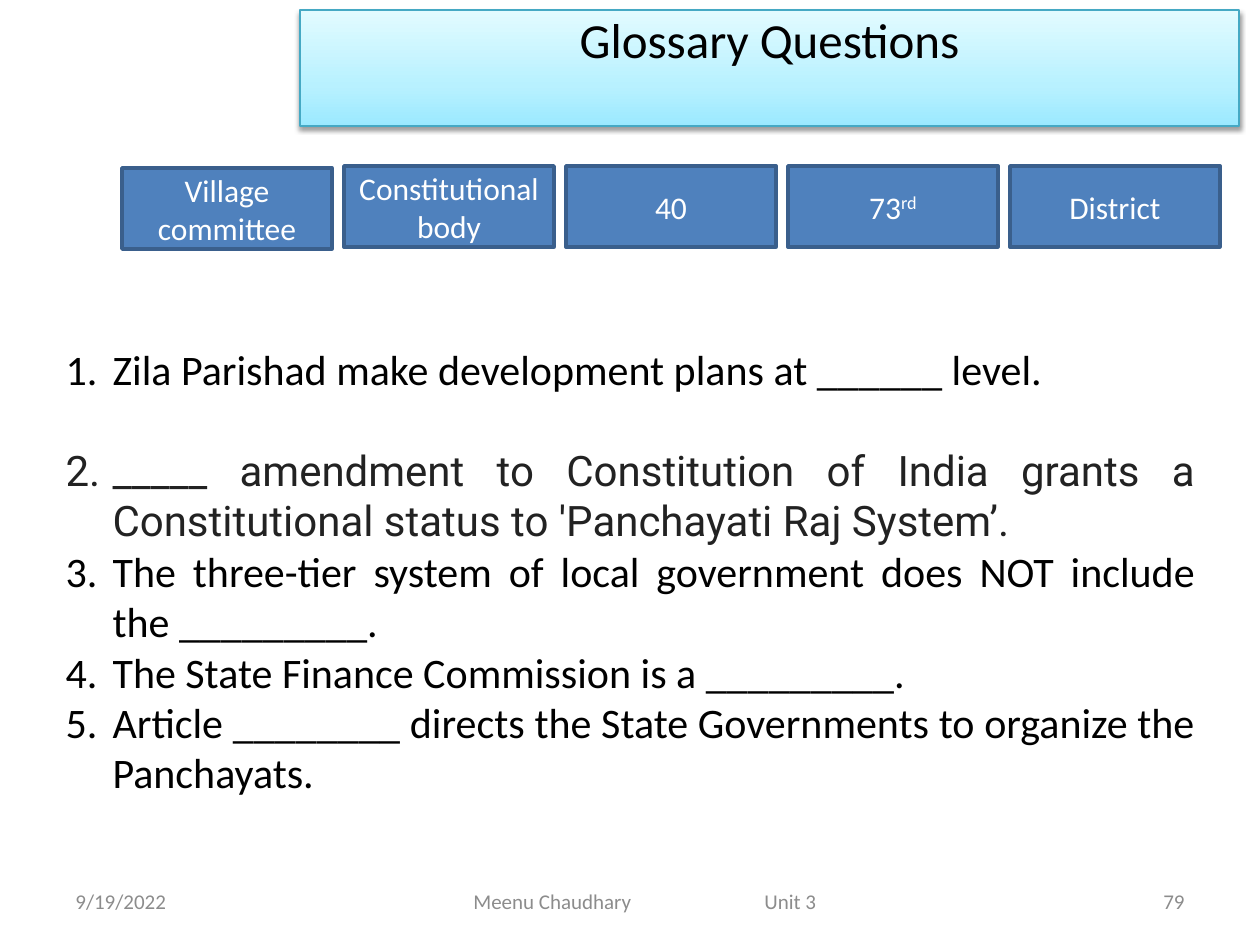
from pptx import Presentation
from pptx.dml.color import RGBColor
from pptx.enum.shapes import MSO_SHAPE
from pptx.enum.text import MSO_ANCHOR, MSO_AUTO_SIZE, PP_ALIGN
from pptx.oxml import parse_xml
from pptx.util import Pt

RECT = MSO_SHAPE.RECTANGLE
TOP, MIDDLE = MSO_ANCHOR.TOP, MSO_ANCHOR.MIDDLE
NO_FIT = MSO_AUTO_SIZE.NONE
LEFT, CENTER, RIGHT, JUSTIFY = (PP_ALIGN.LEFT, PP_ALIGN.CENTER,
                                PP_ALIGN.RIGHT, PP_ALIGN.JUSTIFY)
SCALE = 914400 / 126  # EMU in one px
NS = 'xmlns:a="http://schemas.openxmlformats.org/drawingml/2006/main"'
COLORS = {
    "black": "000000", "white": "FFFFFF", "ink": "222222", "gray": "8C8C8C",
    "chip": "4F81BD", "edge": "3A5F8C", "rim": "45A9C4",
    "deep": "9BE9FF", "mid": "B8F1FF", "pale": "E2FBFF",
}


def emu(*px):
    return [round(n * SCALE) for n in px]


def write(para, text, size, color, align, face="Calibri"):
    """Add a formatted run to a paragraph and return the run."""
    para.alignment = align
    run = para.add_run()
    run.text = text
    style = {"size": Pt(size), "name": face}
    for key, value in style.items():
        setattr(run.font, key, value)
    run.font.color.rgb = RGBColor.from_string(COLORS[color])
    return run


prs = Presentation()
prs.slide_width, prs.slide_height = emu(1260, 945)
slide = prs.slides.add_slide(prs.slide_layouts[1])
title, body = slide.placeholders
places = [(title, (300, 10, 939, 116)), (body, (53, 337, 1155, 521))]
for holder, place in places:
    holder.left, holder.top, holder.width, holder.height = emu(*place)
    frame = holder.text_frame
    frame.auto_size = NO_FIT
    frame.vertical_anchor = TOP

# Title banner
para = title.text_frame.paragraphs[0]
para.line_spacing = 0.9
write(para, "Glossary Questions", 28, "black", CENTER)
title.fill.gradient()
title.fill.gradient_angle = 90
stops = title.fill.gradient_stops
for stop, name, pos in zip(stops, ("deep", "pale"), (0, 1)):
    stop.color.rgb = RGBColor.from_string(COLORS[name])
    stop.position = pos
props = title.element.spPr
props.find(".//{*}gsLst").insert(1, parse_xml(
    f'<a:gs {NS} pos="35000"><a:srgbClr val="{COLORS["mid"]}"/></a:gs>'))
title.line.color.rgb = RGBColor.from_string(COLORS["rim"])
title.line.width = Pt(0.75)
props.append(parse_xml(
    f'<a:effectLst {NS}><a:outerShdw blurRad="39400" dist="20300" '
    f'dir="5400000" rotWithShape="0"><a:srgbClr val="{COLORS["black"]}">'
    '<a:alpha val="38000"/></a:srgbClr></a:outerShdw></a:effectLst>'))

# Numbered questions: text, colour, font, space before
items = [
    ("Zila Parishad make development plans at ______ level.",
     "black", "Calibri", 0),
    ("_____ amendment to Constitution of India grants a Constitutional "
     "status to 'Panchayati Raj System’.", "ink", "Roboto", 29),
    ("The three-tier system of local government does NOT include "
     "the _________.", "black", "Calibri", 0),
    ("The State Finance Commission is a _________.", "black", "Calibri", 0),
    ("Article ________ directs the State Governments to organize "
     "the Panchayats.", "black", "Calibri", 0),
]
frame = body.text_frame
for i, (text, color, face, gap) in enumerate(items):
    para = frame.add_paragraph() if i else frame.paragraphs[0]
    write(para, text, 24, color, JUSTIFY, face)
    para.space_before = Pt(gap)
    props = para._p.get_or_add_pPr()
    dent, = emu(47)
    props.set("marL", str(dent))
    props.set("indent", str(-dent))
    props.append(parse_xml(f"<a:buFontTx {NS}/>"))
    props.append(parse_xml(f'<a:buAutoNum {NS} type="arabicPeriod"/>'))

# Answer chips
chips = ["Village committee", "Constitutional body", "40", "73", "District"]
for i, text in enumerate(chips):
    top = 166 if i else 168
    chip = slide.shapes.add_shape(RECT, *emu(122 + 222 * i, top, 210, 81))
    chip.shadow.inherit = False
    chip.fill.solid()
    chip.fill.fore_color.rgb = RGBColor.from_string(COLORS["chip"])
    chip.line.color.rgb = RGBColor.from_string(COLORS["edge"])
    chip.line.width = Pt(2)
    chip.text_frame.vertical_anchor = MIDDLE
    para = chip.text_frame.paragraphs[0]
    write(para, text, 18, "white", CENTER)
    if text == "73":
        rise = write(para, "rd", 18, "white", CENTER)
        rise.font._element.set("baseline", "30000")

# Footer: left, width, text, alignment
notes = [
    (63, 294, "9/19/2022", LEFT),
    (431, 399, "Meenu Chaudhary\tUnit 3", LEFT),
    (903, 294, "79", RIGHT),
]
for left, width, text, align in notes:
    box = slide.shapes.add_textbox(*emu(left, 876, width, 50))
    box.text_frame.word_wrap = True
    box.text_frame.vertical_anchor = MIDDLE
    para = box.text_frame.paragraphs[0]
    write(para, text, 12, "gray", align)
    if "\t" in text:
        dent, tab = emu(30, 291)
        props = para._p.get_or_add_pPr()
        props.set("marL", str(dent))
        props.append(parse_xml(
            f'<a:tabLst {NS}><a:tab pos="{tab}" algn="l"/></a:tabLst>'))

prs.save("out.pptx")
